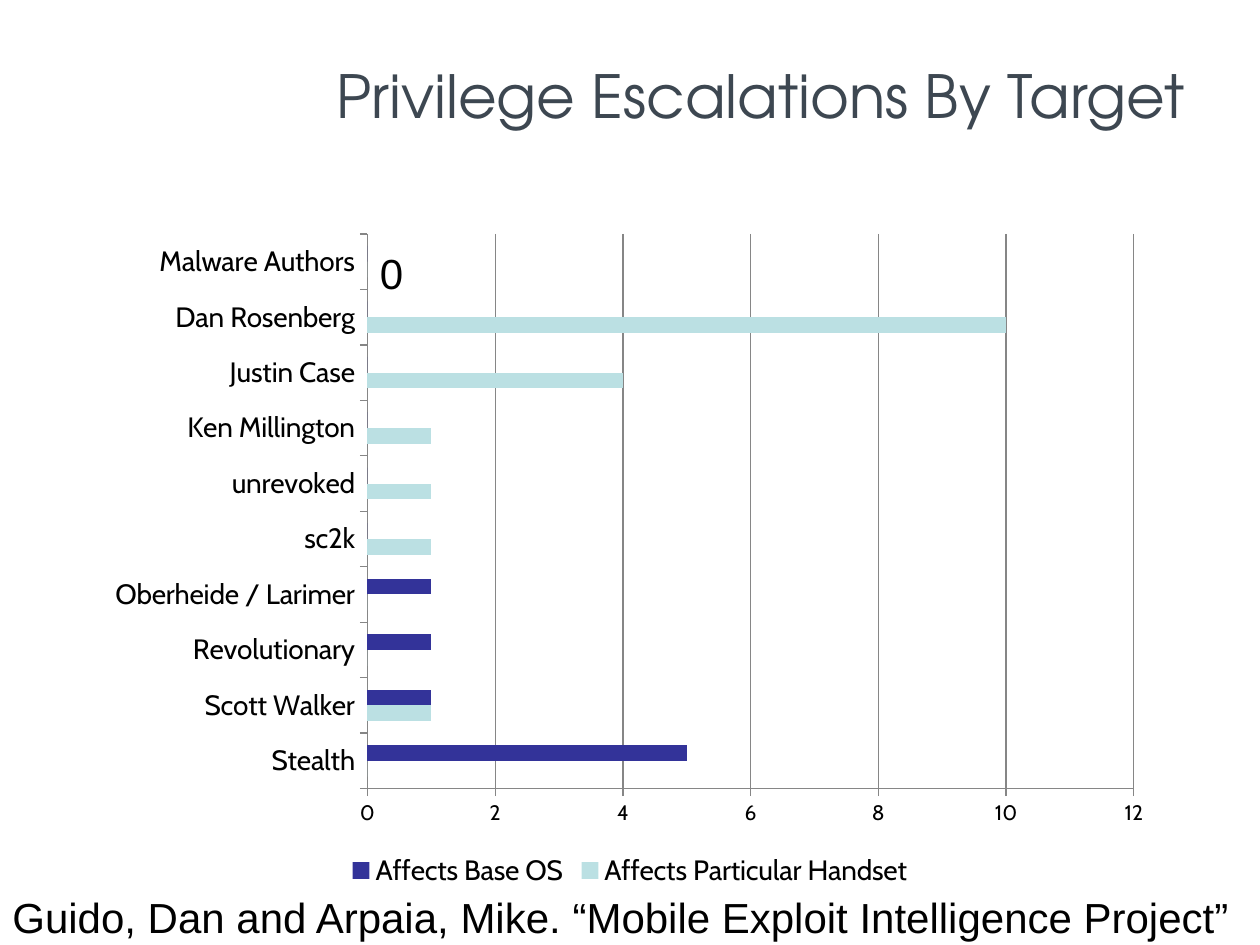
"""Builds the slide on privilege escalations by target."""
from lxml import etree
from pptx import Presentation
from pptx import util as u
from pptx.chart import data
from pptx.dml import color
from pptx.enum import chart as ch
from pptx.enum import text
from pptx.oxml import ns

Pt = u.Pt
COLORS = {"title": "3D4751", "text": "000000", "grid": "868686",
          "base_os": "333399", "handset": "BBE0E3"}
TARGETS = [("Stealth", 0, 5), ("Scott Walker", 1, 1), ("Revolutionary", 0, 1),
           ("Oberheide / Larimer", 0, 1), ("sc2k", 1, 0), ("unrevoked", 1, 0),
           ("Ken Millington", 1, 0), ("Justin Case", 4, 0),
           ("Dan Rosenberg", 10, 0), ("Malware Authors", 0, 0)]


def rgb(name):
    """Return the named colour."""
    return color.RGBColor.from_string(COLORS[name])


def style_font(font, size, face, name="text"):
    """Set size, typeface and colour of a font."""
    font.size, font.name, font.bold = Pt(size), face, False
    font.color.rgb = rgb(name)


def add_text(s, box, words, size, face="Arial", name="text",
             align=text.PP_ALIGN.LEFT, anchor=text.MSO_ANCHOR.TOP, wrap=False):
    """Add one line of text in a box."""
    tf = s.shapes.add_textbox(*map(Pt, box)).text_frame
    tf.word_wrap, tf.vertical_anchor = wrap, anchor
    p = tf.paragraphs[0]
    p.alignment = align
    r = p.add_run()
    r.text = words
    style_font(r.font, size, face, name)


def place_plot(chart, box, inner):
    """Fix the inner plot area, given in points within the chart box."""
    area = chart.plots[0]._element.getparent()
    for old in area.findall(ns.qn("c:layout")):
        area.remove(old)
    layout = etree.Element(ns.qn("c:layout"))
    manual = etree.SubElement(layout, ns.qn("c:manualLayout"))
    settings = {"layoutTarget": "inner", "xMode": "edge", "yMode": "edge"}
    for tag, length, whole in zip("xywh", inner, box[2:] * 2):
        settings[tag] = length / whole
    for tag, value in settings.items():
        etree.SubElement(manual, ns.qn("c:" + tag)).set("val", str(value))
    area.insert(0, layout)


def add_target_chart(s, box):
    """Add the clustered bar chart of escalations per author."""
    names, handset, base_os = zip(*TARGETS)
    cd = data.CategoryChartData()
    cd.categories = names
    cd.add_series("Affects Particular Handset", handset)
    cd.add_series("Affects Base OS", base_os)
    chart = s.shapes.add_chart(ch.XL_CHART_TYPE.BAR_CLUSTERED,
                               *map(Pt, box), cd).chart
    chart.has_title = False
    style_font(chart.font, 12, "Cabin")
    plot = chart.plots[0]
    plot.gap_width, plot.overlap, plot.vary_by_categories = 150, 0, False
    for series, name in zip(plot.series, ("handset", "base_os")):
        series.format.fill.solid()
        series.format.fill.fore_color.rgb = rgb(name)
    cat, val = chart.category_axis, chart.value_axis
    val.minimum_scale, val.maximum_scale, val.major_unit = 0, 12, 2
    val.has_major_gridlines = True
    for axis, size in ((cat, 16), (val, 12)):
        axis.major_tick_mark = ch.XL_TICK_MARK.OUTSIDE
        style_font(axis.tick_labels.font, size, "Cabin")
    for part in (cat, val, val.major_gridlines):
        part.format.line.color.rgb = rgb("grid")
        part.format.line.width = Pt(0.75)
    chart.has_legend = True
    chart.legend.position = ch.XL_LEGEND_POSITION.BOTTOM
    chart.legend.include_in_layout = False
    style_font(chart.legend.font, 16, "Cabin")
    place_plot(chart, box, (156, 7.7, 438, 317))


def build_slide(prs):
    """Add the slide with title, chart, source and zero label."""
    s = prs.slides.add_slide(prs.slide_layouts[6])
    add_text(s, (120, 30, 564, 48), "Privilege Escalations By Target", 34,
             "TeX Gyre Adventor", "title", text.PP_ALIGN.RIGHT,
             text.MSO_ANCHOR.MIDDLE, True)
    add_target_chart(s, (54, 126, 612, 384))
    add_text(s, (0, 506, 716, 36), "Guido, Dan and Arpaia, Mike. "
             "“Mobile Exploit Intelligence Project”", 24)
    add_text(s, (210, 138, 28, 36), "0", 24)


prs = Presentation()
prs.slide_width, prs.slide_height = Pt(720), Pt(540)
build_slide(prs)
prs.save("out.pptx")
